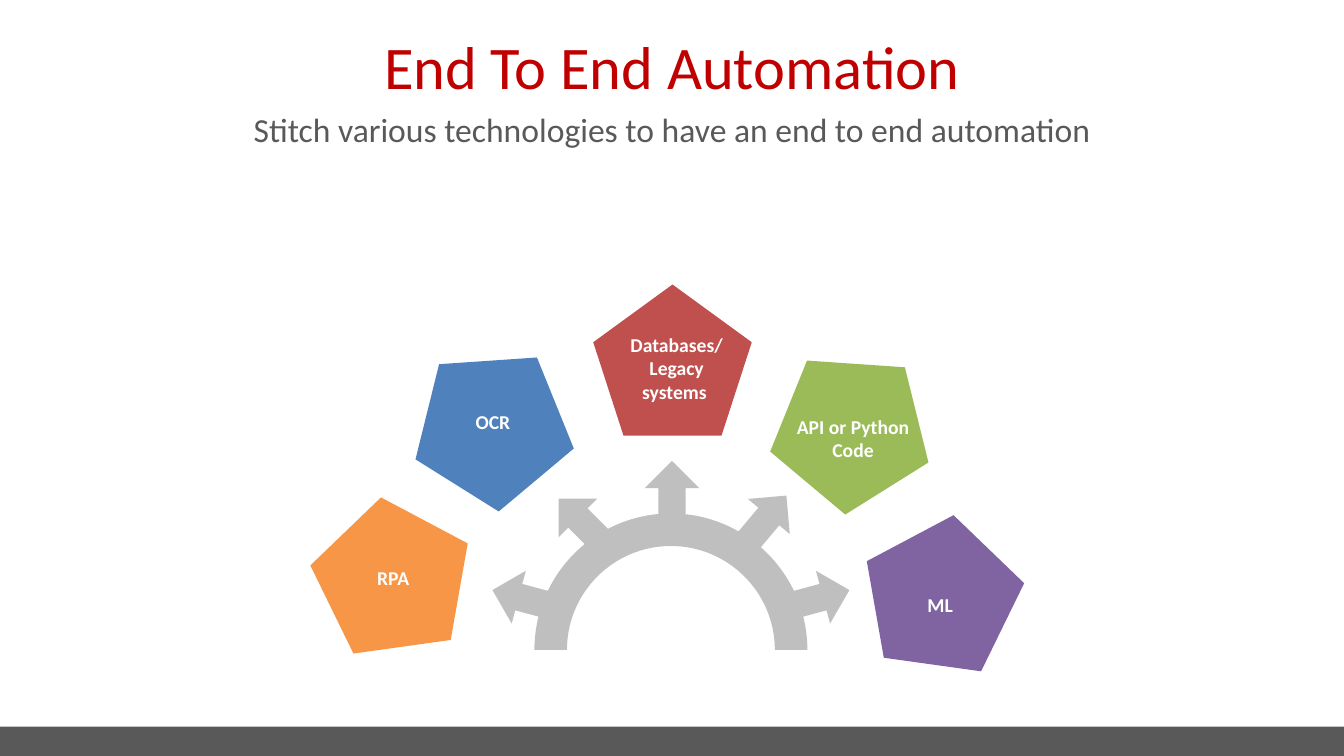
import math

from lxml import etree
from pptx import Presentation
from pptx.dml.color import RGBColor
from pptx.enum.shapes import MSO_SHAPE
from pptx.enum.text import MSO_ANCHOR, MSO_AUTO_SIZE, PP_ALIGN
from pptx.oxml.ns import qn
from pptx.util import Pt

EMU_PER_PX = 9525
SLIDE_WIDTH, SLIDE_HEIGHT = 1280, 720
FONT = "Calibri"
RECTANGLE = MSO_SHAPE.RECTANGLE
PENTAGON = MSO_SHAPE.REGULAR_PENTAGON
MIDDLE = MSO_ANCHOR.MIDDLE
CENTER = PP_ALIGN.CENTER
NO_AUTOFIT = MSO_AUTO_SIZE.NONE
GROW = MSO_AUTO_SIZE.SHAPE_TO_FIT_TEXT

COLORS = {
    "title": "C00000",
    "gray": "595959",
    "gear": "BFBFBF",
    "label": "FFFFFF",
    "orange": "F79646",
    "blue": "4F81BD",
    "red": "C0504D",
    "green": "9BBB59",
    "purple": "8064A2",
}

PENTAGON_SIZE = (151, 144)
# left, top, rotation, color
PENTAGONS = [
    (565, 271, 0, "red"),
    (740, 333, 40, "green"),
    (829, 496, 80, "purple"),
    (389, 330, 320, "blue"),
    (291, 479, 280, "orange"),
]

LABEL_WIDTH = 127
# left, top, height, text
LABELS = [
    (581, 312, 78, "Databases/\nLegacy systems "),
    (406, 386, 33, "OCR"),
    (311, 534, 33, "RPA"),
    (749, 390, 55, "API or Python Code"),
    (832, 560, 33, "ML"),
]

GEAR_CENTER = (639, 619)
OUTER_RADIUS, INNER_RADIUS = 130, 99
SHAFT_HALF, HEAD_HALF, HEAD_LENGTH = 13, 26, 26
# arrow tip x, y, direction in degrees, from left to right
ARROWS = [(469, 562, 165), (532, 475, 135), (640, 439, 90), (749, 472, 50), (809, 562, 15)]


def px(length):
    return round(length * EMU_PER_PX)


def color(name):
    return RGBColor.from_string(COLORS[name])


def paint(shape, fill):
    shape.shadow.inherit = False
    shape.fill.solid()
    shape.fill.fore_color.rgb = color(fill)
    shape.line.fill.background()


def add_block(slide, kind, left, top, width, height, fill, rotation=0):
    block = slide.shapes.add_shape(kind, px(left), px(top), px(width), px(height))
    block.rotation = rotation
    paint(block, fill)


def set_font(para, size, font_color, bold=False):
    para.alignment = CENTER
    para.font.name = FONT
    para.font.size = Pt(size)
    para.font.bold = bold
    para.font.color.rgb = color(font_color)


def fill_placeholder(box, text, top, height):
    box.left, box.top, box.width, box.height = px(0), px(top), px(SLIDE_WIDTH), px(height)
    frame = box.text_frame
    frame.text = text
    frame.auto_size = NO_AUTOFIT
    frame.vertical_anchor = MIDDLE
    para = frame.paragraphs[0]
    para.space_before = Pt(0)
    return para


def add_heading(slide):
    title = fill_placeholder(slide.shapes.title, "End To End Automation", 21, 82)
    set_font(title, 43.2, "title")
    subtitle = fill_placeholder(
        slide.placeholders[1],
        "Stitch various technologies to have an end to end automation", 105, 44)
    subtitle.line_spacing = 0.8
    properties = subtitle._p.get_or_add_pPr()
    properties.set("marL", "0")
    properties.set("indent", "0")
    etree.SubElement(properties, qn("a:buNone"))
    set_font(subtitle, 24, "gray")


def add_label(slide, left, top, height, text):
    box = slide.shapes.add_textbox(px(left), px(top), px(LABEL_WIDTH), px(height))
    frame = box.text_frame
    frame.word_wrap = True
    frame.auto_size = GROW
    frame.text = text
    for para in frame.paragraphs:
        set_font(para, 14, "label", bold=True)


def polar(radius, degrees):
    angle = math.radians(degrees)
    return complex(radius * math.cos(angle), radius * math.sin(angle))


def angle_of(point):
    return math.degrees(math.atan2(point.imag, point.real))


def arc(radius, start, end):
    """Return the two control points and the end point of one Bézier arc."""
    first, last = polar(radius, start), polar(radius, end)
    pull = 4j / 3 * math.tan(math.radians(end - start) / 4)
    return [first + pull * first, last - pull * last, last]


def arrow_points(x, y, degrees):
    """Return an arrow's outline, from ring to ring, relative to the gear center with y up."""
    tip = complex(x - GEAR_CENTER[0], GEAR_CENTER[1] - y)
    forward = polar(1, degrees)
    neck = tip - HEAD_LENGTH * forward

    def side(sign):
        across = sign * 1j * forward
        shaft = neck + SHAFT_HALF * across
        along = (shaft * forward.conjugate()).real
        reach = along - math.sqrt(along ** 2 - abs(shaft) ** 2 + OUTER_RADIUS ** 2)
        return [shaft - reach * forward, shaft, neck + HEAD_HALF * across]

    return side(1) + [tip] + side(-1)[::-1]


def gear_segments():
    """Return the gear's segments: one point for a line, three for a curve."""
    segments = []
    angle = 180
    for arrow in ARROWS:
        points = arrow_points(*arrow)
        segments.append(arc(OUTER_RADIUS, angle, angle_of(points[0])))
        segments += [[point] for point in points[1:]]
        angle = angle_of(points[-1])
    segments.append(arc(OUTER_RADIUS, angle, 0))
    segments.append([polar(INNER_RADIUS, 0)])
    segments += [arc(INNER_RADIUS, 0, 90), arc(INNER_RADIUS, 90, 180)]
    return segments


def gear_position(point):
    return px(GEAR_CENTER[0] + point.real), px(GEAR_CENTER[1] - point.imag)


def add_gear(slide):
    segments = gear_segments()
    builder = slide.shapes.build_freeform(*gear_position(polar(OUTER_RADIUS, 180)))
    builder.add_line_segments([gear_position(segment[-1]) for segment in segments], close=True)
    gear = builder.convert_to_shape()
    paint(gear, "gear")
    lines = list(gear._element.iter(qn("a:lnTo")))
    for line, segment in zip(lines, segments):
        if len(segment) == 3:
            line.tag = qn("a:cubicBezTo")
            for index, control in enumerate(segment[:2]):
                x, y = gear_position(control)
                node = etree.Element(qn("a:pt"), x=str(x - gear.left), y=str(y - gear.top))
                line.insert(index, node)


def main():
    deck = Presentation()
    deck.slide_width, deck.slide_height = px(SLIDE_WIDTH), px(SLIDE_HEIGHT)
    slide = deck.slides.add_slide(deck.slide_layouts[1])
    add_block(slide, RECTANGLE, 0, 692, SLIDE_WIDTH, 28, "gray")
    add_heading(slide)
    add_gear(slide)
    for left, top, rotation, fill in PENTAGONS:
        add_block(slide, PENTAGON, left, top, *PENTAGON_SIZE, fill, rotation)
    for label in LABELS:
        add_label(slide, *label)
    deck.save("out.pptx")


if __name__ == "__main__":
    main()
